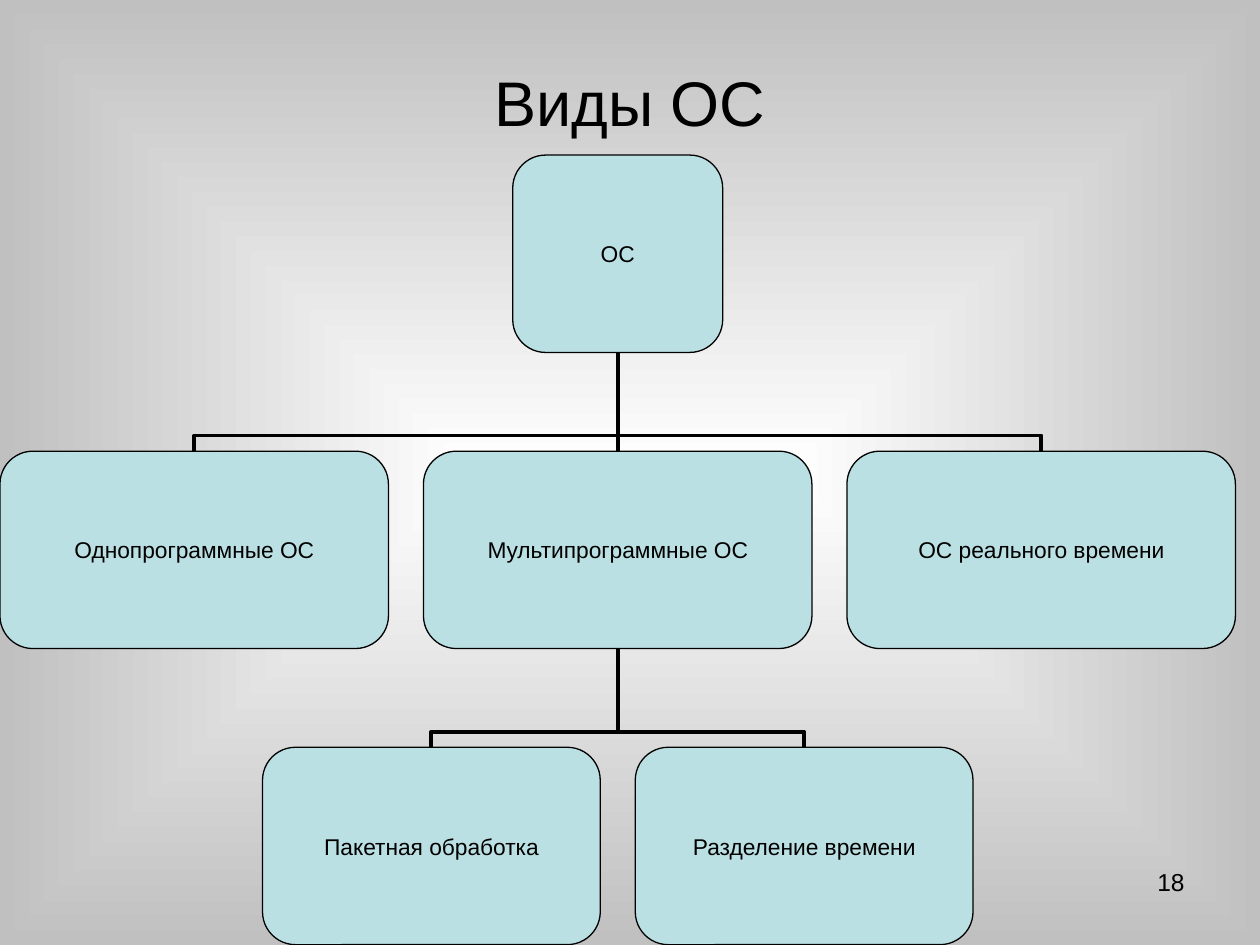
from dataclasses import dataclass

from lxml.etree import SubElement
from pptx import Presentation
from pptx.dml.color import RGBColor
from pptx.enum.shapes import MSO_CONNECTOR as LINK, MSO_SHAPE as SHAPE
from pptx.enum.text import MSO_ANCHOR as ANCHOR, PP_ALIGN as ALIGN
from pptx.oxml.ns import qn
from pptx.util import Pt


@dataclass(frozen=True)
class Theme:
    """Colours, font and type sizes of the slide."""
    ink: RGBColor = RGBColor(0x00, 0x00, 0x00)
    node: RGBColor = RGBColor(0xBB, 0xE0, 0xE3)
    center: RGBColor = RGBColor(0xFF, 0xFF, 0xFF)
    edge: RGBColor = RGBColor(0xC0, 0xC0, 0xC0)
    font: str = "Arial"
    title: float = 36
    label: float = 13
    number: float = 14


class Painter:
    """Draws styled elements on the current slide."""

    def __init__(self, page, theme):
        """Keep the slide and its style."""
        self.page = page
        self.theme = theme

    def background(self):
        """Fill the slide with a gradient that runs out from the centre."""
        fill = self.page.background.fill
        fill.gradient()
        for stop, color in zip(fill.gradient_stops, (self.theme.center, self.theme.edge)):
            stop.color.rgb = color
        gradient = self.page.element.find(".//" + qn("a:gradFill"))
        gradient.remove(gradient.find(qn("a:lin")))
        shade = SubElement(gradient, qn("a:path"), path="rect")
        SubElement(shade, qn("a:fillToRect"), l="50000", t="50000", r="50000", b="50000")

    def label(self, shape, text, size, align, anchor):
        """Put one line of text into a shape."""
        frame = shape.text_frame
        frame.vertical_anchor = anchor
        para = frame.paragraphs[0]
        para.alignment = align
        span = para.add_run()
        span.text = text
        span.font.name = self.theme.font
        span.font.size = Pt(size)
        span.font.color.rgb = self.theme.ink

    def text(self, text, left, top, width, height, size, align, anchor=ANCHOR.TOP):
        """Add a wrapping text box."""
        box = self.page.shapes.add_textbox(Pt(left), Pt(top), Pt(width), Pt(height))
        box.text_frame.word_wrap = True
        self.label(box, text, size, align, anchor)

    def node(self, text, left, top, width, height):
        """Add a rounded box of the tree."""
        box = self.page.shapes.add_shape(
            SHAPE.ROUNDED_RECTANGLE, Pt(left), Pt(top), Pt(width), Pt(height))
        box.shadow.inherit = False
        box.fill.solid()
        box.fill.fore_color.rgb = self.theme.node
        box.line.color.rgb = self.theme.ink
        box.line.width = Pt(0.75)
        frame = box.text_frame
        frame.word_wrap = False
        frame.margin_left = frame.margin_right = Pt(5)
        frame.margin_top = frame.margin_bottom = Pt(3)
        self.label(box, text, self.theme.label, ALIGN.CENTER, ANCHOR.MIDDLE)
        return box

    def row(self, labels, center, top, width, height, gap):
        """Add a centred row of equal nodes."""
        left = center - (len(labels) * (width + gap) - gap) / 2
        return [self.node(label, left + index * (width + gap), top, width, height)
                for index, label in enumerate(labels)]

    def link(self, child, parent):
        """Join the top of a child to the bottom of its parent."""
        start_x, start_y = child.left + child.width // 2, child.top
        end_x, end_y = parent.left + parent.width // 2, parent.top + parent.height
        straight = abs(start_x - end_x) < Pt(1)
        kind = LINK.STRAIGHT if straight else LINK.ELBOW
        line = self.page.shapes.add_connector(kind, start_x, start_y, end_x, end_y)
        line.begin_connect(child, 0)
        line.end_connect(parent, 2)
        line.line.color.rgb = self.theme.ink
        line.line.width = Pt(2.25)
        SubElement(line.element.spPr, qn("a:effectLst"))
        if not straight:
            self.turn(line, 90 if start_x > end_x else 270)

    def turn(self, line, angle):
        """Turn an elbow so that it leaves its nodes vertically."""
        across, down = line.width, line.height
        line.left += (across - down) // 2
        line.top += (down - across) // 2
        line.width, line.height = down, across
        line.element.spPr.xfrm.flipV = False
        line.element.spPr.xfrm.rot = angle
        guides = line.element.find(".//" + qn("a:avLst"))
        SubElement(guides, qn("a:gd"), name="adj1", fmla="val 15900")


def build():
    """Build the slide and save it."""
    deck = Presentation()
    deck.slide_width, deck.slide_height = Pt(720), Pt(540)
    theme = Theme()
    painter = Painter(deck.slides.add_slide(deck.slide_layouts[6]), theme)
    painter.background()
    painter.text("Виды ОС", 36, 21.6, 648, 73, theme.title, ALIGN.CENTER, ANCHOR.MIDDLE)

    center, top, pitch, height, gap = 353, 88.6, 169.2, 112.8, 20
    levels = [
        (["ОС"], 120),
        (["Однопрограммные ОС", "Мультипрограммные ОС", "ОС реального времени"], 222),
        (["Пакетная обработка", "Разделение времени"], 193),
    ]
    rows = [painter.row(labels, center, top + depth * pitch, width, height, gap)
            for depth, (labels, width) in enumerate(levels)]
    for parents, children in zip(rows, rows[1:]):
        for child in children:
            painter.link(child, parents[len(parents) // 2])

    painter.text("18", 516, 492, 168, 37.5, theme.number, ALIGN.RIGHT)
    deck.save("out.pptx")


build()
